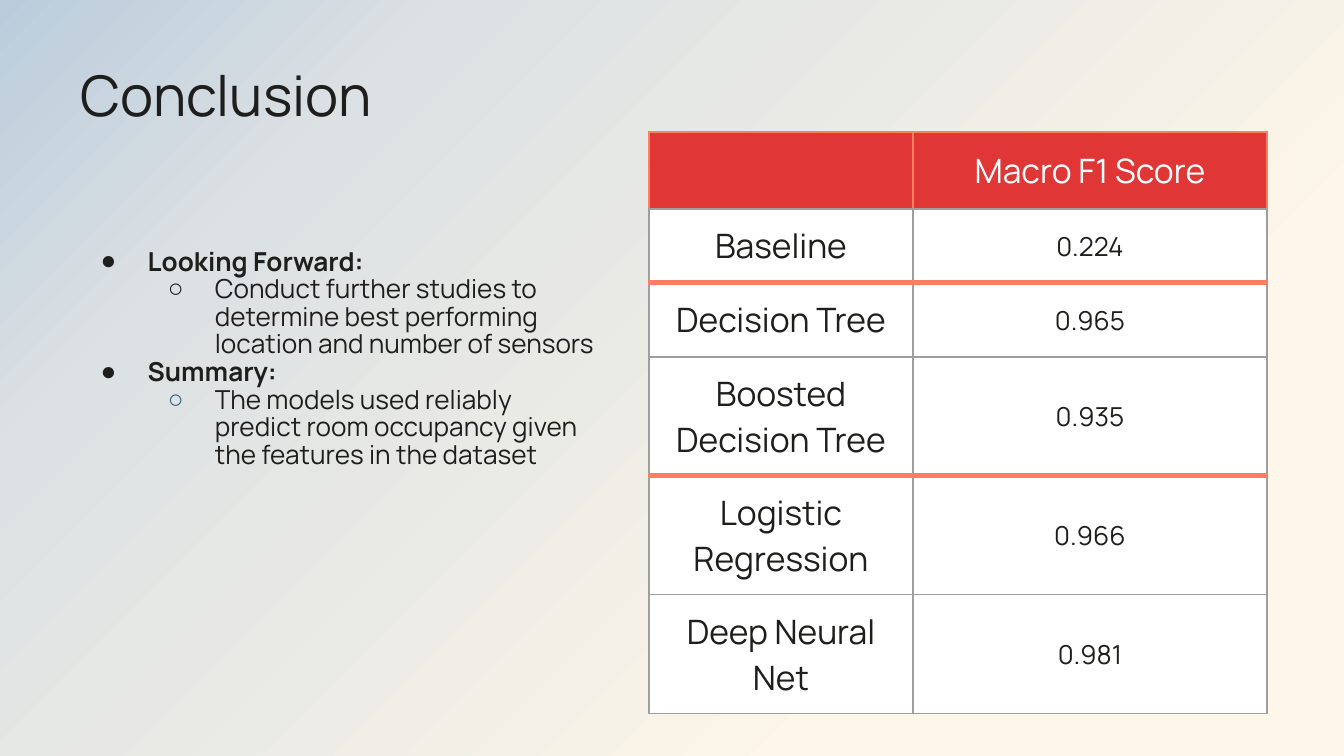
from lxml import etree
from pptx import Presentation
from pptx import util as u
from pptx.dml.color import RGBColor
from pptx.enum import text
from pptx.oxml.ns import qn

PX = 914400 / 134.4
FONT = "Manrope"
INK, RED, CORAL, GRAY, WHITE = "1E1F1C", "E03636", "FF7D62", "9E9E9E", "FFFFFF"
BACKDROP = [(0, "BACCDC"), (22, "DCE1E3"), (75, "FDF6E9"), (100, "FDF6E9")]
OUTLINE = [
    ("Looking Forward:", "Conduct further studies to determine best performing "
     "location and number of sensors", INK),
    ("Summary:", "The models used reliably predict room occupancy given "
     "the features in the dataset", "2D637F"),
]
SCORES = [
    ("", "Macro F1 Score"),
    ("Baseline", "0.224"),
    ("Decision Tree", "0.965"),
    ("Boosted Decision Tree", "0.935"),
    ("Logistic Regression", "0.966"),
    ("Deep Neural Net", "0.981"),
]
COLUMNS = [264, 354]
ROWS = [77, 74, 74, 119, 119, 119]
GROUP_ENDS = (1, 3)


def px(length):
    return u.Emu(round(length * PX))


def rgb(code):
    return RGBColor.from_string(code)


def child(parent, tag, **attributes):
    return etree.SubElement(parent, qn(tag), **attributes)


def write(paragraph, words, size=14, color=INK, bold=False, align=text.PP_ALIGN.LEFT):
    paragraph.alignment = align
    run = paragraph.add_run()
    run.text = words
    run.font.name = FONT
    run.font.size = u.Pt(size)
    run.font.bold = bold
    run.font.color.rgb = rgb(color)


def place(holder, left, top, width, height):
    holder.left, holder.top, holder.width, holder.height = map(px, (left, top, width, height))
    holder.text_frame.auto_size = text.MSO_AUTO_SIZE.NONE
    holder.text_frame.word_wrap = True
    return holder.text_frame


def paint_backdrop(slide):
    fill = slide.background.fill
    fill.gradient()
    fill.gradient_angle = 315
    stops = next(slide.background._cSld.iter(qn("a:gsLst")))
    for stop in list(stops):
        stops.remove(stop)
    for position, color in BACKDROP:
        stop = child(stops, "a:gs", pos=str(position * 1000))
        child(stop, "a:srgbClr", val=color)


def add_title(slide):
    frame = place(slide.shapes.title, 67, 31, 1097, 126)
    frame.vertical_anchor = text.MSO_ANCHOR.MIDDLE
    write(frame.paragraphs[0], "Conclusion", size=30)


def set_bullet(paragraph, level, mark, color):
    paragraph.level = level
    paragraph.line_spacing = 0.88
    paragraph.space_before = u.Pt(0)
    properties = paragraph._p.get_or_add_pPr()
    properties.set("marL", str(u.Inches(0.5 * (level + 1))))
    properties.set("indent", str(u.Inches(-0.35)))
    child(child(properties, "a:buClr"), "a:srgbClr", val=color)
    child(properties, "a:buChar", char=mark)


def add_outline(slide):
    frame = place(slide.placeholders[1], 67, 203, 547, 409)
    frame.margin_top = px(46)
    frame.vertical_anchor = text.MSO_ANCHOR.TOP
    for number, (heading, detail, mark_color) in enumerate(OUTLINE):
        topic = frame.add_paragraph() if number else frame.paragraphs[0]
        set_bullet(topic, 0, "●", INK)
        write(topic, heading, bold=True)
        point = frame.add_paragraph()
        set_bullet(point, 1, "○", mark_color)
        write(point, detail)


def set_borders(cell, row):
    properties = cell._tc.get_or_add_tcPr()
    thin = (CORAL if row == 0 else GRAY, 0.75)
    thick = (CORAL, 3)
    edges = {
        "a:lnL": thin,
        "a:lnR": thin,
        "a:lnT": thick if row - 1 in GROUP_ENDS else thin,
        "a:lnB": thick if row in GROUP_ENDS else thin,
    }
    for index, (tag, (color, width)) in enumerate(edges.items()):
        line = etree.Element(qn(tag), w=str(u.Pt(width)))
        child(child(line, "a:solidFill"), "a:srgbClr", val=color)
        properties.insert(index, line)


def fill_cell(cell, words, row, column):
    header = row == 0
    score = column == 1 and not header
    cell.fill.solid()
    cell.fill.fore_color.rgb = rgb(RED if header else WHITE)
    cell.vertical_anchor = text.MSO_ANCHOR.MIDDLE
    cell.margin_left = cell.margin_right = u.Inches(0.1)
    cell.margin_top = cell.margin_bottom = u.Inches(0.07 if score else 0.1)
    if words:
        write(cell.text_frame.paragraphs[0], words, size=14 if score else 18,
              color=WHITE if header else INK, align=text.PP_ALIGN.CENTER)
    set_borders(cell, row)


def add_scores(slide):
    table = slide.shapes.add_table(len(ROWS), len(COLUMNS), px(649), px(132),
                                   px(sum(COLUMNS)), px(sum(ROWS))).table
    table.horz_banding = False
    for column, width in zip(table.columns, COLUMNS):
        column.width = px(width)
    for row, height in zip(table.rows, ROWS):
        row.height = px(height)
    for row, entries in enumerate(SCORES):
        for column, words in enumerate(entries):
            fill_cell(table.cell(row, column), words, row, column)


def main():
    deck = Presentation()
    deck.slide_width, deck.slide_height = px(1344), px(756)
    slide = deck.slides.add_slide(deck.slide_layouts[1])
    paint_backdrop(slide)
    add_title(slide)
    add_outline(slide)
    add_scores(slide)
    deck.save("out.pptx")


if __name__ == "__main__":
    main()
